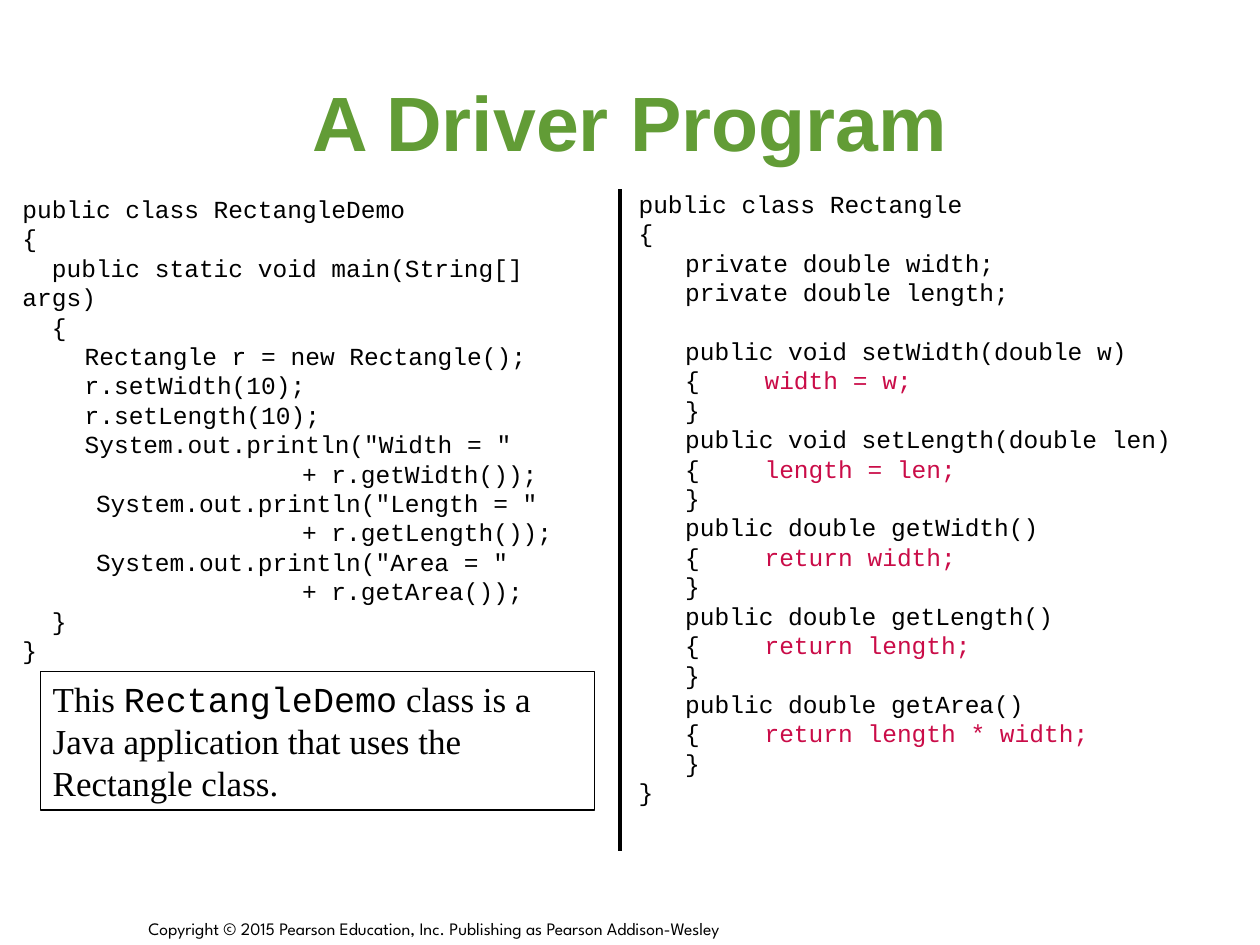
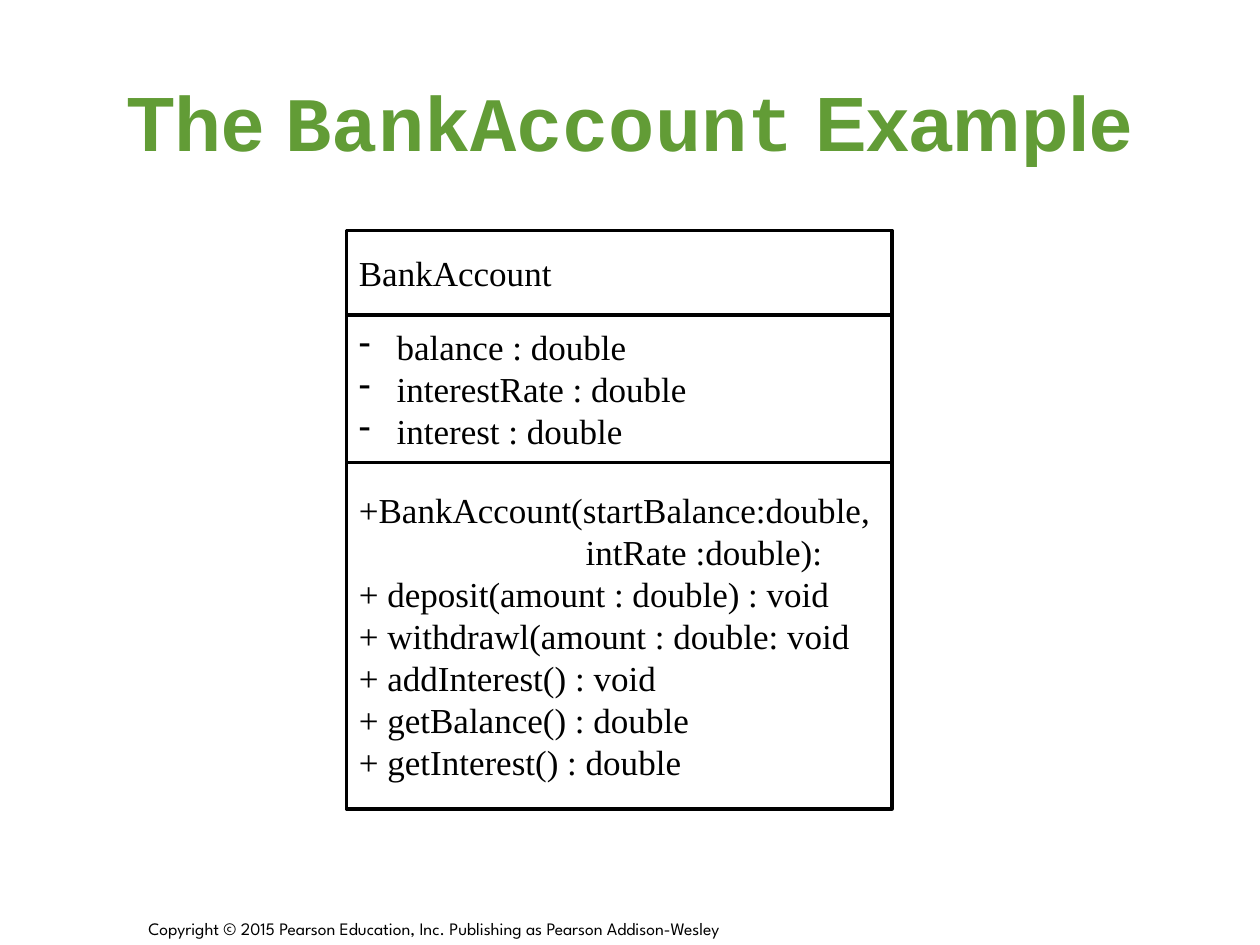
from lxml import etree
from pptx import Presentation
from pptx.dml.color import RGBColor
from pptx.enum.shapes import MSO_CONNECTOR, MSO_SHAPE
from pptx.enum.text import MSO_ANCHOR, PP_ALIGN
from pptx.oxml.ns import qn
from pptx.util import Inches, Pt

BLACK = RGBColor(0x00, 0x00, 0x00)
WHITE = RGBColor(0xFF, 0xFF, 0xFF)
GREEN = RGBColor(0x62, 0x9C, 0x36)
CRIMSON = RGBColor(0xCA, 0x0C, 0x48)
SANS, MONO, SERIF, FOOTER_FONT = "Arial", "Courier New", "Times New Roman", "League Spartan"
RECT, STRAIGHT = MSO_SHAPE.RECTANGLE, MSO_CONNECTOR.STRAIGHT
TOP, MIDDLE, BOTTOM = MSO_ANCHOR.TOP, MSO_ANCHOR.MIDDLE, MSO_ANCHOR.BOTTOM
LEFT, CENTER = PP_ALIGN.LEFT, PP_ALIGN.CENTER
TITLE_ONLY = 5
CODE_SIZE, CODE_LEADING = 14, 16.8
BODY_SIZE, BODY_LEADING = 20, 24
COPYRIGHT = "Copyright © 2015 Pearson Education, Inc. Publishing as Pearson Addison-Wesley"

DEMO_CODE = """public class RectangleDemo
{
  public static void main(String[] args)
  {
\t  Rectangle r = new Rectangle();
\t  r.setWidth(10);
\t  r.setLength(10);
\t  System.out.println("Width = "
                   + r.getWidth());
     System.out.println("Length = "
                   + r.getLength());
     System.out.println("Area = "
                   + r.getArea());
  }
}""".split("\n")

RECTANGLE_FIELDS = ["private double width;", "private double length;"]
RECTANGLE_METHODS = [
    ("public void setWidth(double w)", "width = w;"),
    ("public void setLength(double len)", "length = len;"),
    ("public double getWidth()", "return width;"),
    ("public double getLength()", "return length;"),
    ("public double getArea()", "return length * width;"),
]

ACCOUNT_FIELDS = ["balance : double", "interestRate : double", "interest : double"]
ACCOUNT_METHODS = [
    "+BankAccount(startBalance:double,",
    "intRate :double):",
    "+ deposit(amount : double) : void",
    "+ withdrawl(amount : double: void",
    "+ addInterest() : void",
    "+ getBalance() : double",
    "+ getInterest() : double",
]


def style(r, size, font, color=BLACK, bold=False):
    """Format one run."""
    r.font.size = Pt(size)
    r.font.name = font
    r.font.color.rgb = color
    r.font.bold = bold


def write(tf, lines, size, font, leading=None, anchor=TOP, align=LEFT, bold=False, color=BLACK):
    """Write lines, each a string or a list of (text, font, colour) runs."""
    tf.word_wrap = True
    tf.vertical_anchor = anchor
    for i, line in enumerate(lines):
        p = tf.paragraphs[0] if i == 0 else tf.add_paragraph()
        p.alignment = align
        if leading:
            p.line_spacing = Pt(leading)
        for text, face, tint in [(line, font, color)] if isinstance(line, str) else line:
            r = p.add_run()
            r.text = text
            style(r, size, face, tint, bold)


def indent(p, margin, first=0):
    """Set the left margin and first-line indent of a paragraph."""
    pPr = p._p.get_or_add_pPr()
    pPr.set("marL", str(Inches(margin)))
    pPr.set("indent", str(Inches(first)))


def add_dash(p):
    """Give a paragraph a hanging dash bullet."""
    indent(p, 0.3, -0.3)
    etree.SubElement(p._p.get_or_add_pPr(), qn("a:buChar"), char="-")


def add_tabs(p, stops):
    """Give a paragraph left tab stops."""
    tabs = etree.SubElement(p._p.get_or_add_pPr(), qn("a:tabLst"))
    for stop in stops:
        etree.SubElement(tabs, qn("a:tab"), pos=str(Inches(stop)), algn="l")


def add_text(s, x, y, w, h):
    """Add a text box and return its text frame."""
    return s.shapes.add_textbox(Inches(x), Inches(y), Inches(w), Inches(h)).text_frame


def add_box(shapes, x, y, w, h, weight, fill=None):
    """Add a black-outlined rectangle and return its text frame."""
    sp = shapes.add_shape(RECT, Inches(x), Inches(y), Inches(w), Inches(h))
    sp.shadow.inherit = False
    sp.line.color.rgb = BLACK
    sp.line.width = Pt(weight)
    if fill is None:
        sp.fill.background()
    else:
        sp.fill.solid()
        sp.fill.fore_color.rgb = fill
    return sp.text_frame


def add_slide(prs, title):
    """Add a slide with the shared title style and footer."""
    s = prs.slides.add_slide(prs.slide_layouts[TITLE_ONLY])
    sp = s.shapes.title
    sp.left, sp.top, sp.width, sp.height = Inches(0.5), Inches(0.33), Inches(9), Inches(1.25)
    write(sp.text_frame, [title], 44, SANS, anchor=MIDDLE, align=CENTER, bold=True, color=GREEN)
    write(add_text(s, 1.08, 7.17, 7.16, 0.33), [COPYRIGHT], 10, FOOTER_FONT, anchor=BOTTOM)
    return s


def add_code(s, x, y, w, h, lines, stops):
    """Add a code listing and return its paragraphs."""
    tf = add_text(s, x, y, w, h)
    write(tf, lines, CODE_SIZE, MONO, CODE_LEADING)
    for p in tf.paragraphs:
        add_tabs(p, stops)
    return tf.paragraphs


def add_divider(s, x, top, bottom):
    """Add the vertical rule between the listings."""
    line = s.shapes.add_connector(STRAIGHT, Inches(x), Inches(top), Inches(x), Inches(bottom))
    line.line.color.rgb = BLACK
    line.line.width = Pt(2)
    etree.SubElement(line._element.spPr, qn("a:effectLst"))


def rectangle_code():
    """Return the lines of the Rectangle class, with method bodies in crimson."""
    lines = ["public class Rectangle", "{"] + ["\t" + field for field in RECTANGLE_FIELDS]
    for signature, body in RECTANGLE_METHODS:
        lines += ["\t" + signature, [("\t{\t", MONO, BLACK), (body, MONO, CRIMSON)], "\t}"]
    return lines + ["}"]


def driver_slide(prs):
    """Build the slide with the demo program beside its class."""
    s = add_slide(prs, "A Driver Program")
    add_code(s, 0.08, 1.49, 4.85, 3.84, DEMO_CODE, [0.26, 0.63, 1])
    note = [("This ", SERIF, BLACK), ("RectangleDemo", MONO, BLACK),
            (" class is a Java application that uses the Rectangle class.", SERIF, BLACK)]
    write(add_box(s.shapes, 0.32, 5.33, 4.4, 1.1, 0.75), [note], BODY_SIZE, SERIF, BODY_LEADING)
    add_divider(s, 4.92, 1.5, 6.75)
    paragraphs = add_code(s, 4.97, 1.45, 5.03, 5.24, rectangle_code(), [0.37, 1])
    first_method = 2 + len(RECTANGLE_FIELDS)
    paragraphs[first_method].space_before = Pt(CODE_LEADING)


def class_diagram(s, x, y, w, sections):
    """Stack the sections of a class diagram and return their text frames."""
    group = s.shapes.add_group_shape()
    frames = []
    for h, lines in sections:
        tf = add_box(group.shapes, x, y, w, h, 2, WHITE)
        write(tf, lines, BODY_SIZE, SERIF, BODY_LEADING, MIDDLE)
        frames.append(tf)
        y += h
    return frames


def account_slide(prs):
    """Build the slide with the BankAccount class diagram."""
    title = [("The ", SANS, GREEN), ("BankAccount", MONO, GREEN), (" Example", SANS, GREEN)]
    s = add_slide(prs, title)
    sections = [(0.67, ["BankAccount"]), (1.17, ACCOUNT_FIELDS), (2.75, ACCOUNT_METHODS)]
    _, fields, methods = class_diagram(s, 2.75, 1.83, 4.33, sections)
    for p in fields.paragraphs:
        add_dash(p)
    indent(methods.paragraphs[1], 1.8)


def main():
    """Build and save the deck."""
    prs = Presentation()
    prs.slide_width, prs.slide_height = Inches(10), Inches(7.5)
    driver_slide(prs)
    account_slide(prs)
    prs.save("out.pptx")


if __name__ == "__main__":
    main()
